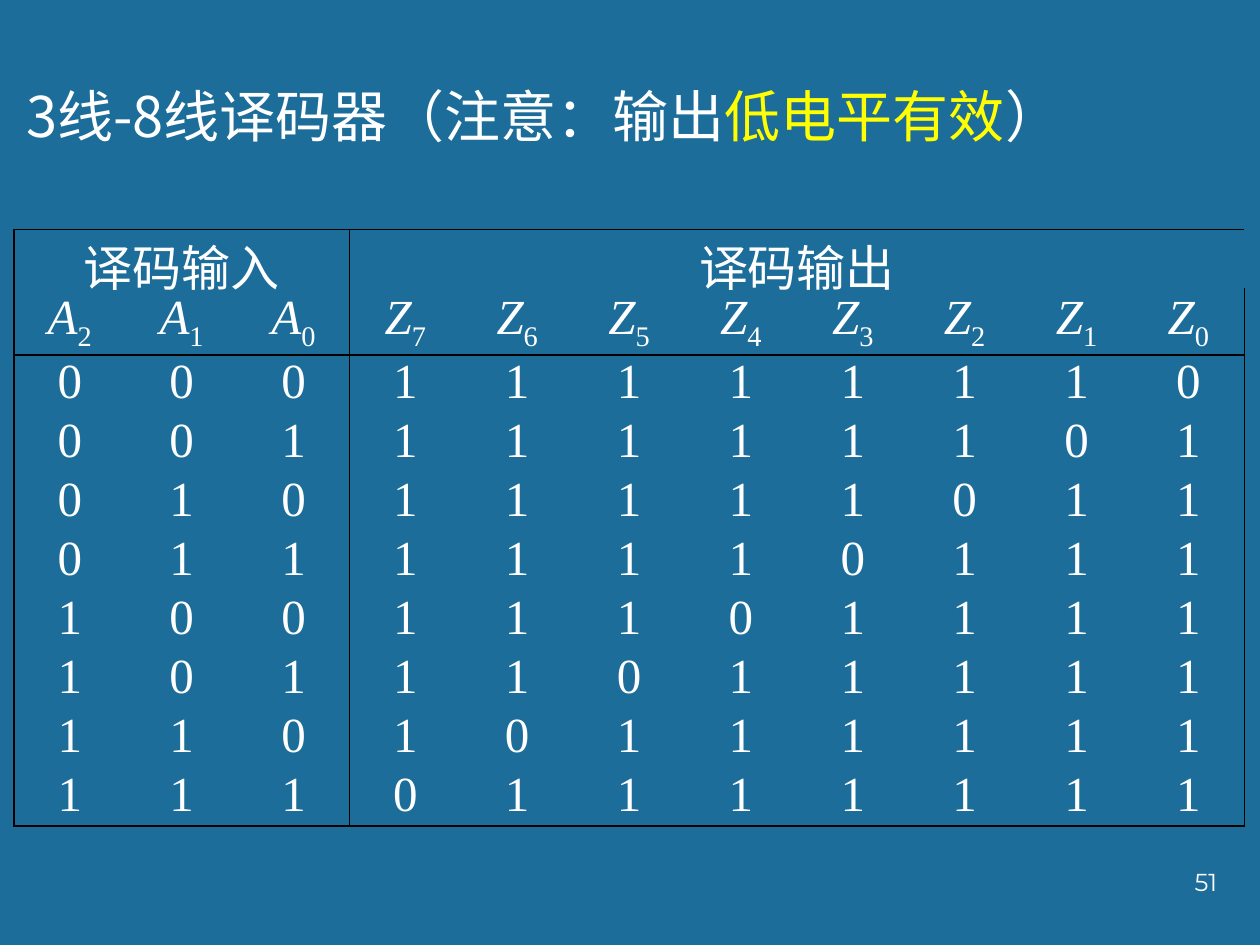
from dataclasses import dataclass

from lxml.etree import SubElement
from pptx import Presentation
from pptx.dml.color import RGBColor
from pptx.enum.text import MSO_ANCHOR, PP_ALIGN
from pptx.oxml.ns import qn
from pptx.util import Inches, Pt

BLUE = RGBColor(0x1C, 0x6D, 0x9A)
WHITE = RGBColor(0xFF, 0xFF, 0xFF)
YELLOW = RGBColor(0xFF, 0xFF, 0x00)
BLACK = RGBColor(0x00, 0x00, 0x00)
SANS = "Noto Sans CJK SC"
SERIF = "Times New Roman"
INPUTS, OUTPUTS = 3, 8
COLS, ROWS = INPUTS + OUTPUTS, 2 + OUTPUTS


@dataclass
class Piece:
    text: str
    color: RGBColor | None = None
    italic: bool = False
    base: int = 0


@dataclass
class Label:
    left: float
    top: float
    width: float
    height: float
    words: list[Piece]
    size: int
    face: str
    align: PP_ALIGN


def write(frame, words: list[Piece], size: int, face: str, align: PP_ALIGN) -> None:
    """Fill the first paragraph of a text frame with styled runs."""
    para = frame.paragraphs[0]
    para.alignment = align
    para.font.size = Pt(size)
    para.font.name = face
    if all(word.color is None for word in words):
        para.font.color.rgb = WHITE
    for word in words:
        run = para.add_run()
        run.text = word.text
        if word.color is not None:
            run.font.color.rgb = word.color
        if word.italic:
            run.font.italic = True
        props = run._r.get_or_add_rPr()
        if word.base:
            props.set("baseline", str(word.base * 1000))
        if not word.text.isascii():
            SubElement(props, qn("a:ea"), typeface=SANS)


def add_label(slide, label: Label) -> None:
    """Place a wrapped text box."""
    box = slide.shapes.add_textbox(
        Inches(label.left), Inches(label.top), Inches(label.width), Inches(label.height)
    )
    box.text_frame.word_wrap = True
    write(box.text_frame, label.words, label.size, label.face, label.align)


def set_edges(cell, row: int, col: int) -> None:
    """Rule the outer sides of the header and body blocks only."""
    sides = {
        "a:lnL": col in (0, INPUTS),
        "a:lnR": col in (INPUTS - 1, COLS - 1),
        "a:lnT": row in (0, 2),
        "a:lnB": row in (1, ROWS - 1),
    }
    props = cell._tc.get_or_add_tcPr()
    for tag, shown in sides.items():
        line = SubElement(props, qn(tag), w=str(Pt(1)))
        if shown:
            fill = SubElement(line, qn("a:solidFill"))
            SubElement(fill, qn("a:srgbClr"), val=str(BLACK))
        else:
            SubElement(line, qn("a:noFill"))


def cell_words(row: int, col: int) -> list[Piece]:
    """Give the heading, signal name or logic level of a cell."""
    if row == 0:
        heads = {0: "译码输入", INPUTS: "译码输出"}
        return [Piece(heads[col])] if col in heads else []
    if row == 1:
        name, last = ("A", INPUTS - 1) if col < INPUTS else ("Z", COLS - 1)
        return [Piece(name, italic=True), Piece(str(last - col), base=-25)]
    code = row - 2
    if col < INPUTS:
        return [Piece(str(code >> (INPUTS - 1 - col) & 1))]
    return [Piece(str(int(COLS - 1 - col != code)))]


def add_truth(slide) -> None:
    """Build the decoder truth table."""
    table = slide.shapes.add_table(
        ROWS, COLS, Inches(0.11), Inches(1.82), Inches(9.77), Inches(4.67)
    ).table
    table.first_row = table.horz_banding = False
    for row in range(ROWS):
        for col in range(COLS):
            cell = table.cell(row, col)
            cell.margin_left = cell.margin_right = Inches(0.07)
            cell.margin_top = cell.margin_bottom = 0
            cell.vertical_anchor = MSO_ANCHOR.MIDDLE if row == 1 else MSO_ANCHOR.TOP
            set_edges(cell, row, col)
            cell.fill.background()
            write(cell.text_frame, cell_words(row, col), 28, SERIF, PP_ALIGN.CENTER)
    for first, last in ((0, INPUTS - 1), (INPUTS, COLS - 1)):
        table.cell(0, first).merge(table.cell(0, last))


def main() -> None:
    """Build and save the slide."""
    deck = Presentation()
    deck.slide_width, deck.slide_height = Inches(10), Inches(7.5)
    slide = deck.slides.add_slide(deck.slide_layouts[6])
    slide.background.fill.solid()
    slide.background.fill.fore_color.rgb = BLUE
    title = [
        Piece("3线-8线译码器（注意：输出", WHITE),
        Piece("低电平有效", YELLOW),
        Piece("）", WHITE),
    ]
    add_label(slide, Label(0.11, 0.6, 10, 0.64, title, 32, SANS, PP_ALIGN.LEFT))
    add_truth(slide)
    page = [Piece("51")]
    add_label(slide, Label(7.68, 6.83, 2.08, 0.5, page, 14, "Montserrat", PP_ALIGN.RIGHT))
    deck.save("out.pptx")


if __name__ == "__main__":
    main()
